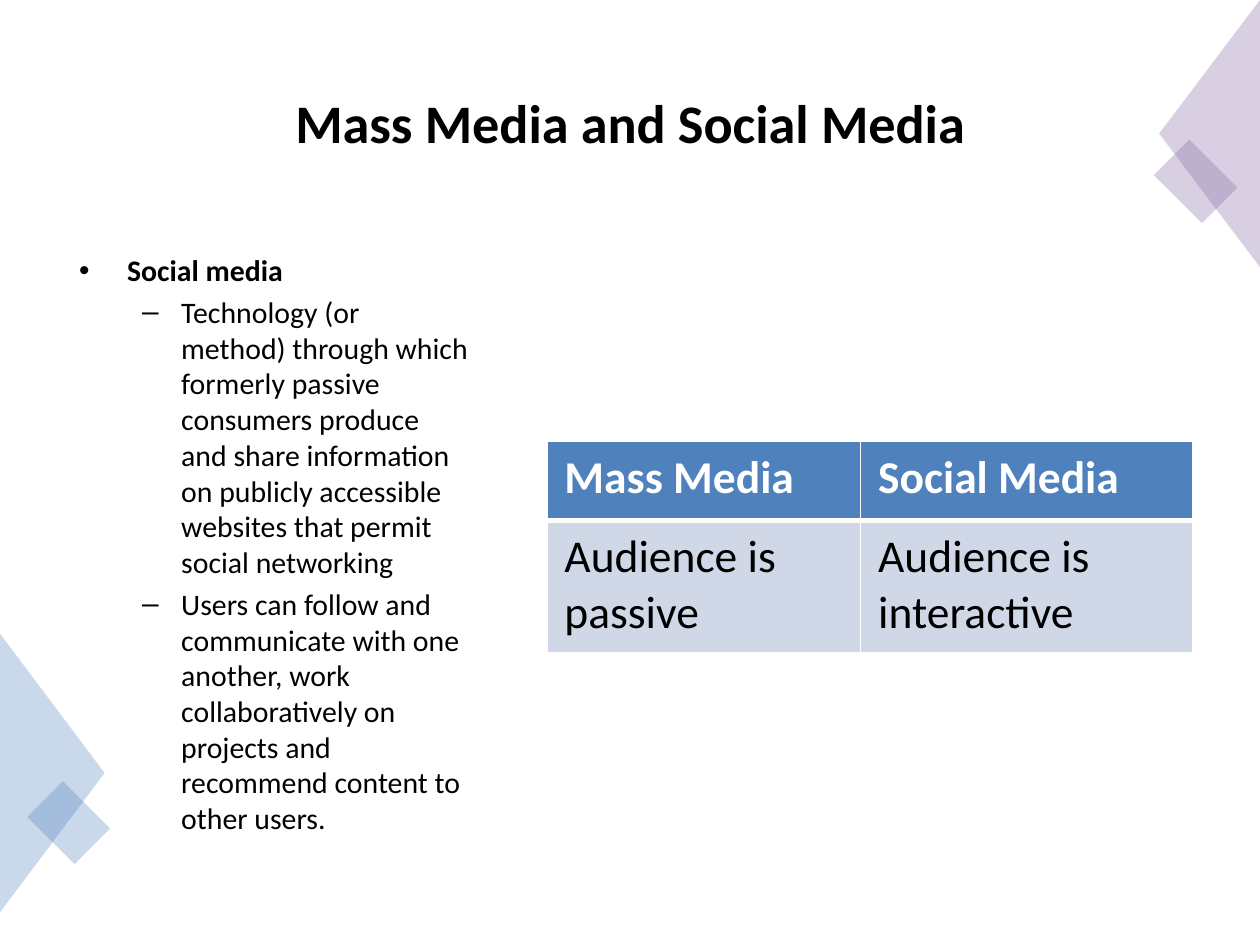
from dataclasses import dataclass

from lxml.etree import SubElement
from pptx import Presentation
from pptx.dml.color import RGBColor
from pptx.enum.shapes import MSO_SHAPE
from pptx.enum.text import MSO_ANCHOR, PP_ALIGN
from pptx.oxml.ns import qn
from pptx.util import Inches, Pt

COLORS = {
    "black": "000000",
    "white": "FFFFFF",
    "blue": "4F81BD",
    "purple": "8064A2",
    "pale": "D0D8E8",
}
FONT = "Calibri"


@dataclass
class Bullet:
    text: str
    char: str
    level: int
    margin: float
    hanging: float
    bold: bool = False


@dataclass
class Ornament:
    kind: MSO_SHAPE
    left: float
    top: float
    width: float
    height: float
    rotation: int
    color: str


BULLETS = [
    Bullet("Social media", "•", 0, 0.38, 0.38, True),
    Bullet("Technology (or method) through which formerly passive consumers "
           "produce and share information on publicly accessible websites "
           "that permit social networking", "–", 1, 0.81, 0.31),
    Bullet("Users can follow and communicate with one another, work "
           "collaboratively on projects and recommend content to other "
           "users.", "–", 1, 0.81, 0.31),
]
ORNAMENTS = [
    Ornament(MSO_SHAPE.ISOSCELES_TRIANGLE, -0.69, 5.72, 2.21, 0.83, 90, "blue"),
    Ornament(MSO_SHAPE.RECTANGLE, 0.28, 6.33, 0.53, 0.4, 45, "blue"),
    Ornament(MSO_SHAPE.RECTANGLE, 9.22, 1.24, 0.54, 0.4, 45, "purple"),
    Ornament(MSO_SHAPE.ISOSCELES_TRIANGLE, 8.54, 0.66, 2.12, 0.8, 270, "purple"),
]
ROWS = [
    ("Mass Media", "Social Media"),
    ("Audience is passive", "Audience is interactive"),
]
COL_WIDTHS = (2.49, 2.64)
ROW_HEIGHTS = (0.63, 1.05)


def rgb(name: str) -> RGBColor:
    return RGBColor.from_string(COLORS[name])


def add_text(p, text: str, size: int, color: str = "black", bold: bool = False) -> None:
    r = p.add_run()
    r.text = text
    for name, value in {"name": FONT, "size": Pt(size), "bold": bold}.items():
        setattr(r.font, name, value)
    r.font.color.rgb = rgb(color)


def add_title(s, text: str) -> None:
    title = s.shapes.title
    box = {"left": 0.53, "top": 0.35, "width": 8.94, "height": 1.24}
    for name, value in box.items():
        setattr(title, name, Inches(value))
    tf = title.text_frame
    tf.vertical_anchor = MSO_ANCHOR.MIDDLE
    p = tf.paragraphs[0]
    p.alignment = PP_ALIGN.CENTER
    add_text(p, text, 31, bold=True)


def add_bullets(s, bullets: list[Bullet]) -> None:
    tf = s.shapes.add_textbox(
        Inches(0.53), Inches(1.95), Inches(3.29), Inches(4.81)).text_frame
    tf.word_wrap = True
    for i, bullet in enumerate(bullets):
        p = tf.add_paragraph() if i else tf.paragraphs[0]
        p.level = bullet.level
        p.space_before = Pt(3.5)
        add_text(p, bullet.text, 17, bold=bullet.bold)
        p_pr = p._p.get_or_add_pPr()
        p_pr.set("marL", str(Inches(bullet.margin)))
        p_pr.set("indent", str(-Inches(bullet.hanging)))
        SubElement(p_pr, qn("a:buFont"), typeface="Arial")
        SubElement(p_pr, qn("a:buChar"), char=bullet.char)


def add_ornament(s, o: Ornament) -> None:
    sp = s.shapes.add_shape(
        o.kind, *map(Inches, (o.left, o.top, o.width, o.height)))
    sp.rotation = o.rotation
    sp.shadow.inherit = False
    sp.line.fill.background()
    sp.fill.solid()
    sp.fill.fore_color.rgb = rgb(o.color)
    color = sp._element.spPr.find(f"{qn('a:solidFill')}/{qn('a:srgbClr')}")
    SubElement(color, qn("a:alpha"), val="30000")


def set_borders(cell, widths: dict[str, int]) -> None:
    """Draw white borders; they must precede the fill in the cell's XML."""
    tc_pr = cell._tc.get_or_add_tcPr()
    for side, width in widths.items():
        ln = SubElement(tc_pr, qn(f"a:ln{side}"), w=str(Pt(width)))
        fill = SubElement(ln, qn("a:solidFill"))
        SubElement(fill, qn("a:srgbClr"), val=COLORS["white"])


def add_comparison(s) -> None:
    table = s.shapes.add_table(
        len(ROWS), len(COL_WIDTHS), Inches(4.34), Inches(3.5),
        Inches(sum(COL_WIDTHS)), Inches(sum(ROW_HEIGHTS))).table
    for column, width in zip(table.columns, COL_WIDTHS):
        column.width = Inches(width)
    margins = {"margin_left": 0.14, "margin_right": 0.14,
               "margin_top": 0.07, "margin_bottom": 0.07}
    for i, (texts, height) in enumerate(zip(ROWS, ROW_HEIGHTS)):
        header = i == 0
        table.rows[i].height = Inches(height)
        for j, text in enumerate(texts):
            cell = table.cell(i, j)
            for name, value in margins.items():
                setattr(cell, name, Inches(value))
            set_borders(cell, {"L": 1, "R": 1, "T": 1 if header else 3,
                               "B": 3 if header else 1})
            cell.fill.solid()
            cell.fill.fore_color.rgb = rgb("blue" if header else "pale")
            add_text(cell.text_frame.paragraphs[0], text, 26,
                     "white" if header else "black", header)


def main() -> None:
    prs = Presentation()
    prs.slide_width, prs.slide_height = Inches(10), Inches(7.5)
    s = prs.slides.add_slide(prs.slide_layouts[5])
    add_title(s, "Mass Media and Social Media")
    add_bullets(s, BULLETS)
    for ornament in ORNAMENTS:
        add_ornament(s, ornament)
    add_comparison(s)
    prs.save("out.pptx")


if __name__ == "__main__":
    main()
